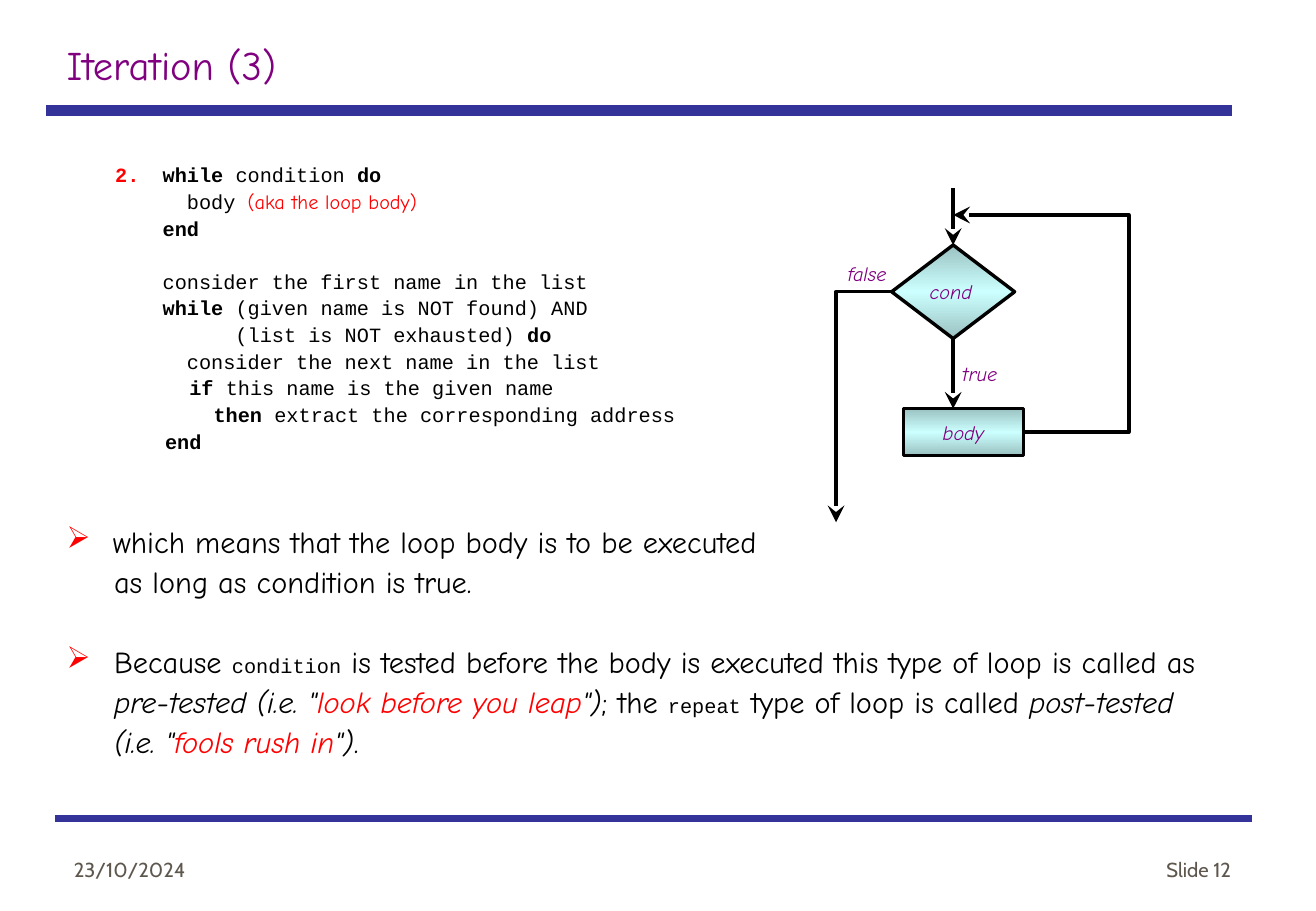
from lxml.etree import SubElement
from pptx import Presentation
from pptx.dml.color import RGBColor
from pptx.enum.shapes import MSO_CONNECTOR, MSO_SHAPE
from pptx.enum.text import MSO_ANCHOR, PP_ALIGN
from pptx.oxml.ns import qn
from pptx.util import Inches, Pt

WIDTH, HEIGHT = 10.83, 7.5
BLACK, RED, PURPLE, NAVY, GREY = "000000", "FF0000", "800080", "333399", "5E574E"
PROSE, MONO, FOOT = "Comic Neue", "Courier New", "Cabin"

STYLES = {
    "title": (PROSE, 24, PURPLE, False, False),
    "label": (PROSE, 12, PURPLE, False, True),
    "footer": (FOOT, 12, GREY, False, False),
    "code": (MONO, 12, BLACK, False, False),
    "keyword": (MONO, 12, BLACK, True, False),
    "aside": (PROSE, 12, RED, False, False),
    "prose": (PROSE, 18, BLACK, False, False),
    "italic": (PROSE, 18, BLACK, False, True),
    "quote": (PROSE, 18, RED, False, True),
}

CODE = [
    (0.79, [("while", "keyword"), (" condition ", "code"), ("do", "keyword")]),
    (0.79, [("  body ", "code"), ("(aka the loop body)", "aside")]),
    (0.79, [("end", "keyword")]),
    (0.79, [("consider the first name in the list", "code")]),
    (0.79, [("while", "keyword"), (" (given name is NOT found) AND", "code")]),
    (0.79, [("      (list is NOT exhausted) ", "code"), ("do", "keyword")]),
    (0.79, [("  consider the next name in the list", "code")]),
    (0.81, [("  ", "code"), ("if", "keyword"), (" this name is the given name", "code")]),
    (0.81, [("    then", "keyword"), (" extract the corresponding address", "code")]),
    (0.81, [("end", "keyword")]),
]
EXAMPLE_START = 3

REMARKS = [
    (0.38, True, [("which means that the loop body is to be executed", "prose")]),
    (0.39, False, [("as long as condition is true.", "prose")]),
    (0.39, True, [
        ("Because ", "prose"), ("condition", "code"),
        (" is tested before the body is executed this type of loop is called as ", "prose"),
        ('pre-tested (i.e. "', "italic"), ("look before you leap", "quote"), ('")', "italic"),
        ("; the ", "prose"), ("repeat", "code"), (" type of loop is called ", "prose"),
        ('post-tested (i.e. "', "italic"), ("fools rush in", "quote"), ('")', "italic"),
        (".", "prose"),
    ]),
]


def color(value):
    return RGBColor.from_string(value)


def style_run(run, style):
    font = run.font
    font.name, size, ink, font.bold, font.italic = STYLES[style]
    font.size = Pt(size)
    font.color.rgb = color(ink)


def text_area(slide, box):
    frame = slide.shapes.add_textbox(*map(Inches, box)).text_frame
    frame.word_wrap = True
    return frame


def write_line(frame, text, style, align=PP_ALIGN.LEFT, anchor=MSO_ANCHOR.TOP):
    frame.text = text
    frame.vertical_anchor = anchor
    frame.paragraphs[0].alignment = align
    style_run(frame.paragraphs[0].runs[0], style)


def write_runs(paragraph, pieces):
    for text, style in pieces:
        run = paragraph.add_run()
        run.text = text
        style_run(run, style)


def indent(paragraph, left, marker=None, hang=0.0, **marker_attributes):
    properties = paragraph._p.get_or_add_pPr()
    properties.set("marL", str(Inches(left)))
    properties.set("indent", str(Inches(-hang)))
    if marker:
        ink = SubElement(properties, qn("a:buClr"))
        SubElement(ink, qn("a:srgbClr"), val=RED)
        SubElement(properties, qn(marker), **marker_attributes)


def add_line(slide, start, end, ink, weight):
    line = slide.shapes.add_connector(MSO_CONNECTOR.STRAIGHT, *map(Inches, start + end))
    line.line.color.rgb = color(ink)
    line.line.width = Pt(weight)
    SubElement(line._element.spPr, qn("a:effectLst"))
    return line


def add_arrowhead(arrow):
    SubElement(arrow.line._get_or_add_ln(), qn("a:tailEnd"), type="stealth", w="lg", len="lg")


def add_bent_arrow(slide, points):
    outline = slide.shapes.build_freeform(*map(Inches, points[0]), scale=1.0)
    outline.add_line_segments([tuple(map(Inches, p)) for p in points[1:]], close=False)
    route = outline.convert_to_shape()
    route.shadow.inherit = False
    route.fill.background()
    route.line.color.rgb = color(BLACK)
    route.line.width = Pt(2)
    add_arrowhead(route)


def add_step(slide, preset, box, text, align):
    step = slide.shapes.add_shape(preset, *map(Inches, box))
    step.shadow.inherit = False
    step.fill.gradient()
    step.fill.gradient_angle = 270
    stops = step._element.spPr.find(qn("a:gradFill")).find(qn("a:gsLst"))
    for stop in list(stops):
        stops.remove(stop)
    for position, ink in ((0, "9BC2C2"), (50000, "CCFFFF"), (100000, "9BC2C2")):
        stop = SubElement(stops, qn("a:gs"), pos=str(position))
        SubElement(stop, qn("a:srgbClr"), val=ink)
    step.line.color.rgb = color(BLACK)
    step.line.width = Pt(2)
    frame = step.text_frame
    frame.margin_left = frame.margin_right = Inches(0.06)
    frame.margin_top = frame.margin_bottom = Inches(0.09)
    write_line(frame, text, "label", align, MSO_ANCHOR.MIDDLE)


def build_header(slide, box):
    left, top, width, height = box
    add_line(slide, (left, top + height), (left + width, top + height), NAVY, 6)
    write_line(text_area(slide, (left + 0.07, top, width - 0.55, 0.5)), "Iteration (3)", "title")


def build_footer(slide, box):
    left, top, width, height = box
    add_line(slide, (left, top), (left + width, top), NAVY, 4.5)
    for x, text, align in ((left + 0.06, "23/10/2024", PP_ALIGN.LEFT),
                           (left + width - 2.33, "Slide 12", PP_ALIGN.RIGHT)):
        area = text_area(slide, (x, top + height - 0.5, 2.26, 0.5))
        write_line(area, text, "footer", align, MSO_ANCHOR.BOTTOM)


def build_code(slide, box):
    frame = text_area(slide, box)
    for number, (left, pieces) in enumerate(CODE):
        line = frame.add_paragraph() if number else frame.paragraphs[0]
        line.line_spacing = Pt(15.8)
        if number == EXAMPLE_START:
            line.space_before = Pt(15.8)
        if number:
            indent(line, left)
        else:
            indent(line, left, "a:buAutoNum", 0.39, type="arabicPeriod", startAt="2")
        write_runs(line, pieces)


def build_remarks(slide, box):
    frame = text_area(slide, box)
    for number, (left, bulleted, pieces) in enumerate(REMARKS):
        remark = frame.add_paragraph() if number else frame.paragraphs[0]
        remark.line_spacing = Pt(23.7)
        if bulleted:
            if number:
                remark.space_before = Pt(23.7)
            indent(remark, left, "a:buChar", left, char="➢")
        else:
            indent(remark, left)
        write_runs(remark, pieces)


def build_flowchart(slide, box):
    left, top, width, height = box

    def at(x, y):
        return left + x * width, top + y * height

    def area(x, y, w, h):
        return at(x, y) + (w * width, h * height)

    axis, middle, body_middle = 0.4, 0.31, 0.73
    for start, end in ((0, 0.17), (0.45, 0.66)):
        add_arrowhead(add_line(slide, at(axis, start), at(axis, end), BLACK, 2))
    add_bent_arrow(slide, [at(0.19, middle), at(0, middle), at(0, 1)])
    add_bent_arrow(slide, [at(0.64, body_middle), at(1, body_middle), at(1, 0.08), at(axis, 0.08)])
    add_step(slide, MSO_SHAPE.FLOWCHART_DECISION, area(0.19, 0.17, 0.42, 0.28), "cond", PP_ALIGN.LEFT)
    add_step(slide, MSO_SHAPE.RECTANGLE, area(0.23, 0.66, 0.41, 0.14), "body", PP_ALIGN.CENTER)
    for x, y, text in ((0, 0.2, "false"), (0.39, 0.5, "true")):
        write_line(text_area(slide, area(x, y, 0.25, 0.11)), text, "label")


def main():
    deck = Presentation()
    deck.slide_width, deck.slide_height = Inches(WIDTH), Inches(HEIGHT)
    slide = deck.slides.add_slide(deck.slide_layouts[6])
    build_header(slide, (0.38, 0.28, 9.76, 0.63))
    build_footer(slide, (0.45, 6.74, 9.85, 0.57))
    build_code(slide, (0.45, 1.27, 6.2, 2.6))
    build_remarks(slide, (0.45, 4.23, 9.69, 2.1))
    build_flowchart(slide, (6.88, 1.55, 2.41, 2.75))
    deck.save("out.pptx")


if __name__ == "__main__":
    main()
